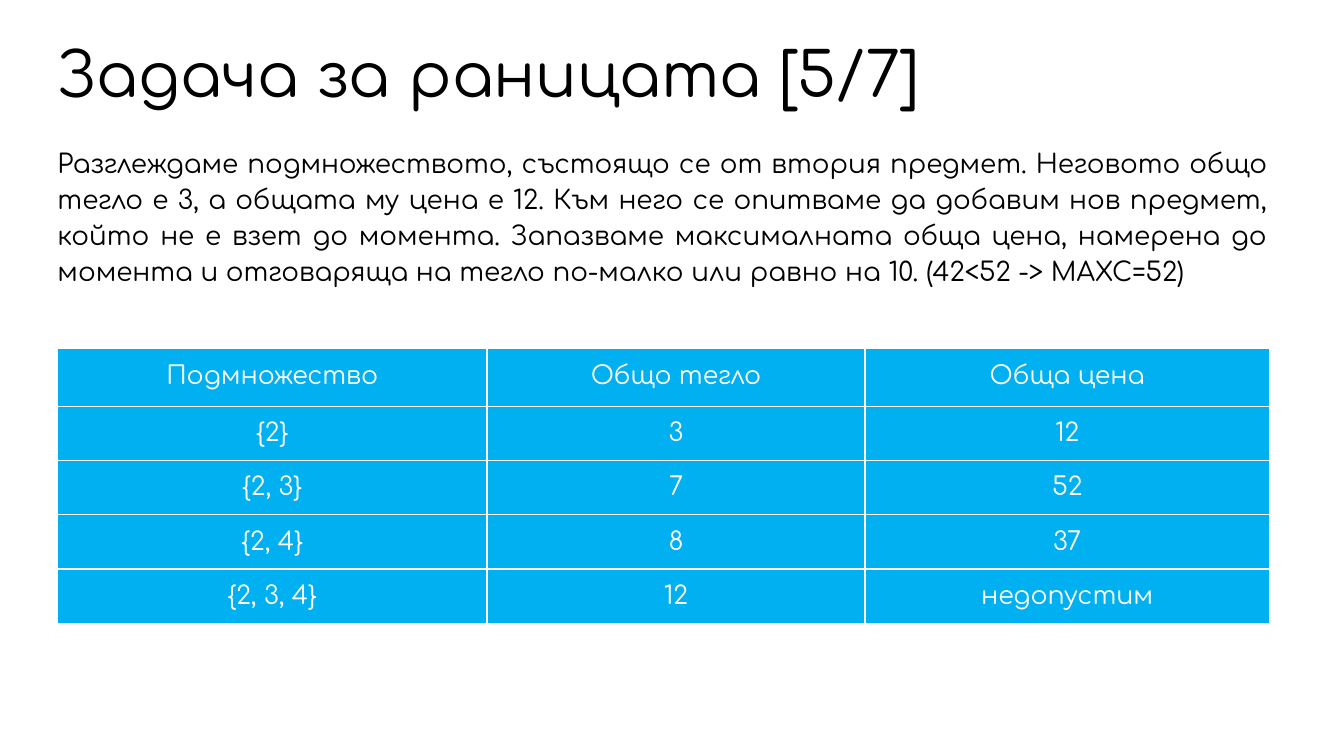
from lxml import etree
from pptx import Presentation
from pptx.dml.color import RGBColor
from pptx.enum import text
from pptx.oxml import ns
from pptx.util import Inches, Pt

BLACK = RGBColor(0x00, 0x00, 0x00)
WHITE = RGBColor(0xFF, 0xFF, 0xFF)
SKY_BLUE = RGBColor(0x00, 0xB0, 0xF0)
FONT_NAME = "Comfortaa"

TITLE = "Задача за раницата [5/7]"
EXPLANATION = (
    "Разглеждаме подмножеството, състоящо се от втория предмет. "
    "Неговото общо тегло е 3, а общата му цена е 12. "
    "Към него се опитваме да добавим нов предмет, който не е взет до момента. "
    "Запазваме максималната обща цена, намерена до момента и отговаряща "
    "на тегло по-малко или равно на 10. (42<52 -> MAXC=52)"
)
SUBSETS = [
    ("Подмножество", "Общо тегло", "Обща цена"),
    ("{2}", "3", "12"),
    ("{2, 3}", "7", "52"),
    ("{2, 4}", "8", "37"),
    ("{2, 3, 4}", "12", "недопустим"),
]
COLUMN_WIDTHS = (4.26, 3.75, 4.01)
HEADER_HEIGHT, ROW_HEIGHT = 0.57, 0.52


def add_text(paragraph, content, size, color, alignment):
    """Add one formatted run to an aligned paragraph."""
    paragraph.alignment = alignment
    run = paragraph.add_run()
    run.text = content
    run.font.name = FONT_NAME
    run.font.size = Pt(size)
    run.font.color.rgb = color


def place_placeholder(shape, box, anchor):
    """Move a placeholder into its box and return its first paragraph."""
    shape.left, shape.top, shape.width, shape.height = map(Inches, box)
    frame = shape.text_frame
    frame.word_wrap = True
    frame.auto_size = text.MSO_AUTO_SIZE.NONE
    frame.vertical_anchor = anchor
    frame.margin_left = frame.margin_right = Inches(0.12)
    frame.margin_top = frame.margin_bottom = Inches(0.04)
    return frame.paragraphs[0]


def fill_title(shape, box):
    """Write the slide title."""
    paragraph = place_placeholder(shape, box, text.MSO_ANCHOR.MIDDLE)
    paragraph.line_spacing = 0.9
    add_text(paragraph, TITLE, 44, BLACK, text.PP_ALIGN.LEFT)


def fill_explanation(shape, box):
    """Write the justified explanation without a bullet."""
    paragraph = place_placeholder(shape, box, text.MSO_ANCHOR.TOP)
    properties = paragraph._p.get_or_add_pPr()
    properties.set("marL", "0")
    properties.set("indent", "0")
    etree.SubElement(properties, ns.qn("a:buNone"))
    paragraph.line_spacing = 1.15
    paragraph.space_before = Pt(0)
    paragraph.space_after = Pt(16)
    add_text(paragraph, EXPLANATION, 18.7, BLACK, text.PP_ALIGN.JUSTIFY)


def add_borders(cell, color, width):
    """Draw a solid line on all four sides of a cell."""
    properties = cell._tc.get_or_add_tcPr()
    for side in ("lnL", "lnR", "lnT", "lnB"):
        line = etree.SubElement(properties, ns.qn(f"a:{side}"), w=str(Pt(width)))
        fill = etree.SubElement(line, ns.qn("a:solidFill"))
        etree.SubElement(fill, ns.qn("a:srgbClr"), val=str(color))


def format_cell(cell, content):
    """Fill, frame and label one table cell."""
    add_borders(cell, WHITE, 1)
    cell.fill.solid()
    cell.fill.fore_color.rgb = SKY_BLUE
    cell.margin_left = cell.margin_right = Inches(0.13)
    cell.margin_top = cell.margin_bottom = Inches(0.13)
    add_text(cell.text_frame.paragraphs[0], content, 18, WHITE, text.PP_ALIGN.CENTER)


def add_subset_table(slide, left, top):
    """Add the table of subsets with their weights and prices."""
    heights = [HEADER_HEIGHT] + [ROW_HEIGHT] * (len(SUBSETS) - 1)
    table = slide.shapes.add_table(
        len(SUBSETS), len(COLUMN_WIDTHS), Inches(left), Inches(top),
        Inches(sum(COLUMN_WIDTHS)), Inches(sum(heights)),
    ).table
    for column, width in zip(table.columns, COLUMN_WIDTHS):
        column.width = Inches(width)
    for row, height, values in zip(table.rows, heights, SUBSETS):
        row.height = Inches(height)
        for cell, value in zip(row.cells, values):
            format_cell(cell, value)


def build_knapsack_slide(presentation):
    """Build the slide with a title, an explanation and a table."""
    slide = presentation.slides.add_slide(presentation.slide_layouts[1])
    fill_title(slide.shapes.title, (0.45, 0.3, 12.42, 0.93))
    fill_explanation(slide.placeholders[1], (0.45, 1.37, 12.24, 2.09))
    add_subset_table(slide, 0.57, 3.46)


def main():
    """Create and save the presentation."""
    presentation = Presentation()
    presentation.slide_width = Inches(13.33)
    presentation.slide_height = Inches(7.5)
    build_knapsack_slide(presentation)
    presentation.save("out.pptx")


if __name__ == "__main__":
    main()
